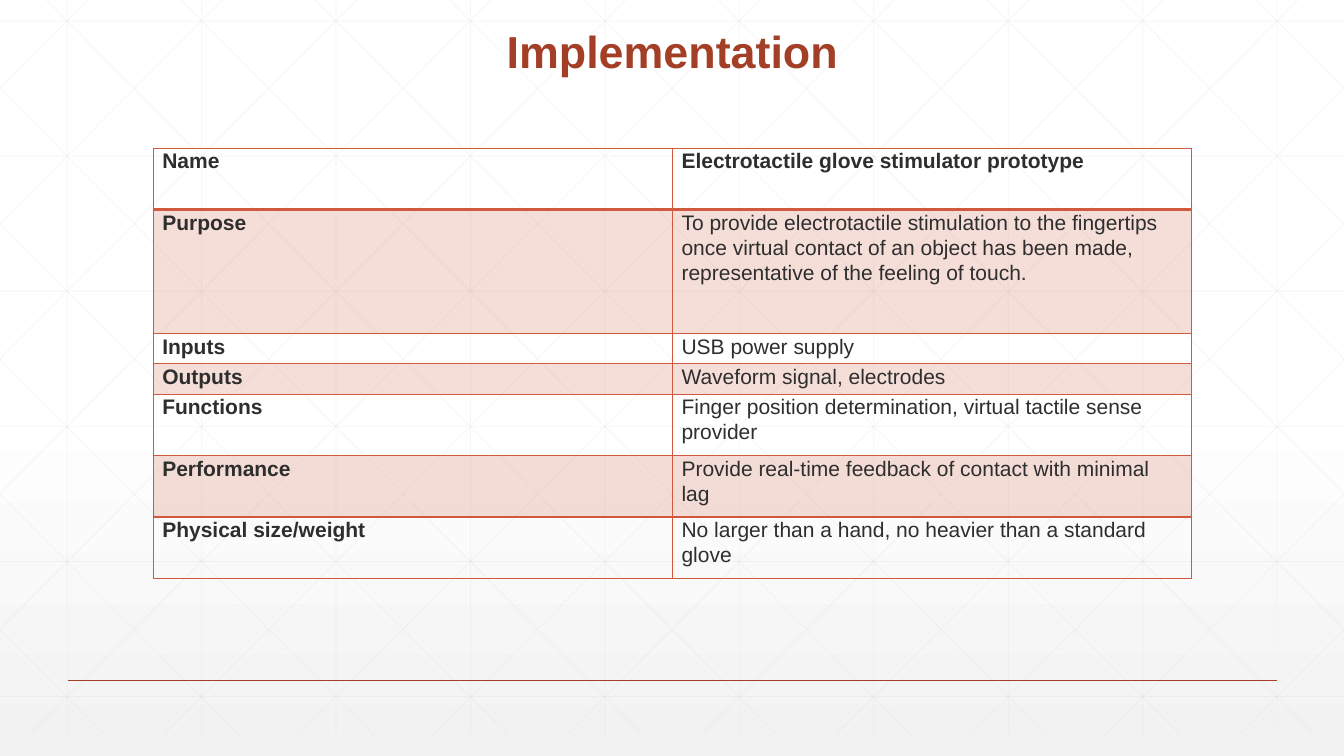
from lxml import etree
from pptx import Presentation
from pptx.dml.color import RGBColor
from pptx.enum.shapes import MSO_CONNECTOR
from pptx.enum.text import MSO_ANCHOR, PP_ALIGN
from pptx.oxml.ns import qn
from pptx.util import Inches, Pt

STRAIGHT = MSO_CONNECTOR.STRAIGHT
BOTTOM, TOP = MSO_ANCHOR.BOTTOM, MSO_ANCHOR.TOP
LEFT, CENTER = PP_ALIGN.LEFT, PP_ALIGN.CENTER

COLORS = {
    "title": "A43F27",
    "accent": "D15A3E",
    "text": "2D2E2D",
    "lattice": "D9D9D9",
    "white": "FFFFFF",
    "gray": "F2F2F2",
}
FONT = "Arial"
WIDTH, HEIGHT = 13.33, 7.5

LATTICE_TOP, LATTICE_BOTTOM = -0.21, 7.29
LATTICE_STEP = 4 / 3
DIAGONAL_START, DIAGONAL_RUN = 0.25, 7.455

ROW_HEIGHTS = [0.61, 1.23, 0.3, 0.3, 0.61, 0.61, 0.61]
SPECIFICATION = [
    ("Name", "Electrotactile glove stimulator prototype"),
    ("Purpose", "To provide electrotactile stimulation to the fingertips once virtual "
                "contact of an object has been made, representative of the feeling of touch."),
    ("Inputs", "USB power supply"),
    ("Outputs", "Waveform signal, electrodes"),
    ("Functions", "Finger position determination, virtual tactile sense provider"),
    ("Performance", "Provide real-time feedback of contact with minimal lag"),
    ("Physical size/weight", "No larger than a hand, no heavier than a standard glove"),
]


def rgb(name):
    return RGBColor.from_string(COLORS[name])


def set_opacity(element, percent):
    """Apply an opacity to every RGB colour inside the element."""
    for color in element.iter(qn("a:srgbClr")):
        etree.SubElement(color, qn("a:alpha"), val=str(percent * 1000))


def write_text(frame, text, size=15, color="text", bold=False, align=LEFT, spacing=1.07):
    frame.word_wrap = True
    paragraph = frame.paragraphs[0]
    paragraph.alignment = align
    paragraph.line_spacing = spacing
    run = paragraph.add_run()
    run.text = text
    run.font.name = FONT
    run.font.size = Pt(size)
    run.font.bold = bold
    run.font.color.rgb = rgb(color)


def set_borders(cell, color, widths):
    """Draw the left, right, top and bottom borders, with widths in points."""
    properties = cell._tc.get_or_add_tcPr()
    for index, (side, width) in enumerate(zip("LRTB", widths)):
        border = etree.Element(qn(f"a:ln{side}"), w=str(Pt(width)))
        fill = etree.SubElement(border, qn("a:solidFill"))
        etree.SubElement(fill, qn("a:srgbClr"), val=COLORS[color])
        properties.insert(index, border)


class SlideBuilder:
    def __init__(self, slide):
        self.slide = slide

    def background(self):
        fill = self.slide.background.fill
        fill.gradient()
        fill.gradient_angle = 270
        for stop, color, position in zip(fill.gradient_stops, ("white", "gray"), (0.53, 1)):
            stop.color.rgb = rgb(color)
            stop.position = position

    def line(self, start, end, color, width, opacity=100):
        points = [Inches(value) for value in (*start, *end)]
        connector = self.slide.shapes.add_connector(STRAIGHT, *points)
        connector.line.color.rgb = rgb(color)
        connector.line.width = Pt(width)
        etree.SubElement(connector._element.spPr, qn("a:effectLst"))
        if opacity < 100:
            set_opacity(connector._element, opacity)

    def lattice_line(self, start, end):
        self.line(start, end, "lattice", 0.5, opacity=25)

    def lattice(self):
        for column in range(10):
            x = LATTICE_STEP * (column + 0.5)
            self.lattice_line((x, LATTICE_TOP), (x, LATTICE_BOTTOM))
        for row in range(6):
            y = 0.21 + 1.34 * row
            self.lattice_line((0, y), (WIDTH, y))
        slope = (LATTICE_BOTTOM - LATTICE_TOP) / DIAGONAL_RUN
        for index in range(-5, 10):
            origin = DIAGONAL_START + LATTICE_STEP * index
            left, right = max(origin, 0), min(origin + DIAGONAL_RUN, WIDTH)
            top, bottom = (LATTICE_TOP + slope * (x - origin) for x in (left, right))
            self.lattice_line((left, top), (right, bottom))
            self.lattice_line((WIDTH - left, top), (WIDTH - right, bottom))

    def title(self, text, left, top, width, height):
        box = self.slide.shapes.add_textbox(*map(Inches, (left, top, width, height)))
        box.text_frame.vertical_anchor = BOTTOM
        write_text(box.text_frame, text, size=32, color="title", bold=True,
                   align=CENTER, spacing=0.9)

    def table(self, rows, heights, left, top, width):
        table = self.slide.shapes.add_table(
            len(rows), 2, *map(Inches, (left, top, width, sum(heights)))).table
        table.first_row = table.horz_banding = False
        for row_index, (row, height) in enumerate(zip(rows, heights)):
            table.rows[row_index].height = Inches(height)
            for column_index, text in enumerate(row):
                self.cell(table.cell(row_index, column_index), text,
                          bold=row_index == 0 or column_index == 0,
                          shaded=row_index % 2 == 1,
                          bottom_width=2 if row_index == 0 else 1)

    def cell(self, cell, text, bold, shaded, bottom_width):
        cell.margin_left = cell.margin_right = Inches(0.09)
        cell.margin_top = cell.margin_bottom = 0
        cell.vertical_anchor = TOP
        write_text(cell.text_frame, text, bold=bold)
        if shaded:
            cell.fill.solid()
            cell.fill.fore_color.rgb = rgb("accent")
            set_opacity(cell._tc.tcPr, 20)
        else:
            cell.fill.background()
        set_borders(cell, "accent", (1, 1, 1, bottom_width))


def main():
    presentation = Presentation()
    presentation.slide_width = Inches(WIDTH)
    presentation.slide_height = Inches(HEIGHT)
    builder = SlideBuilder(presentation.slides.add_slide(presentation.slide_layouts[6]))
    builder.background()
    builder.lattice()
    builder.line((0.67, 6.75), (12.67, 6.75), "title", 1)
    builder.title("Implementation", 1.42, 0.2, 10.5, 0.62)
    builder.table(SPECIFICATION, ROW_HEIGHTS, 1.52, 1.47, 10.3)
    presentation.save("out.pptx")


if __name__ == "__main__":
    main()
